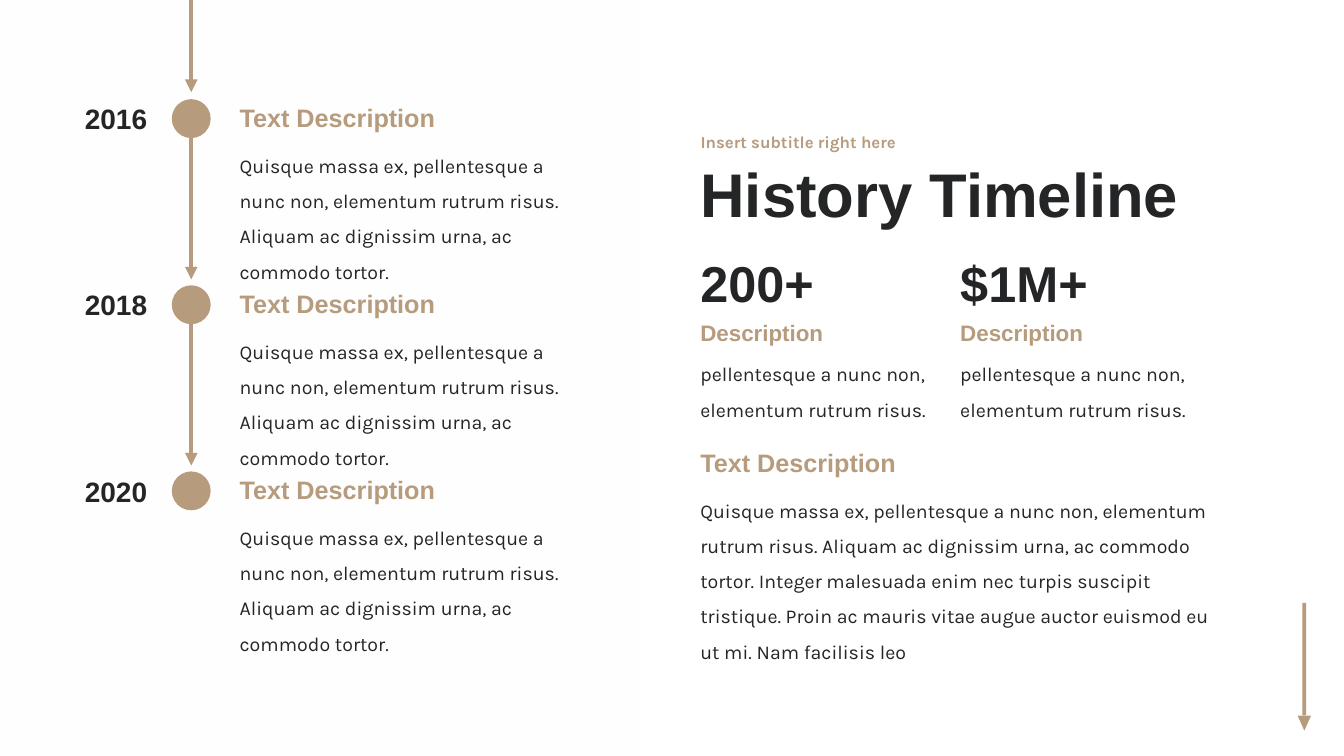
from dataclasses import dataclass

from lxml import etree
from pptx import Presentation
from pptx import util as u
from pptx.dml.color import RGBColor
from pptx.enum import shapes, text
from pptx.oxml.ns import qn

TAN, DARK, WHITE = "B69B7D", "242527", "FFFFFF"
AXIS, RIGHT = 4.82, 17.4
STEP, GAP = 4.69, 6.55
INTRO = (
    "Quisque massa ex, pellentesque a nunc non, elementum rutrum risus. "
    "Aliquam ac dignissim urna, ac commodo tortor."
)
MORE = (
    " Integer malesuada enim nec turpis suscipit tristique. "
    "Proin ac mauris vitae augue auctor euismod eu ut mi. Nam facilisis leo"
)
BRIEF = "pellentesque a nunc non, elementum rutrum risus."


@dataclass(frozen=True)
class Style:
    size: int
    font: str
    color: str
    bold: bool = True
    space: float = 1.0
    align: text.PP_ALIGN = text.PP_ALIGN.LEFT


@dataclass(frozen=True)
class Box:
    left: float
    top: float
    width: float
    height: float

    def cm(self) -> tuple:
        return u.Cm(self.left), u.Cm(self.top), u.Cm(self.width), u.Cm(self.height)


@dataclass(frozen=True)
class Stat:
    figure: str
    width: float


TITLE = Style(44, "Arial", DARK, space=0.9)
SUB = Style(12, "Karla", TAN, space=0.9)
YEAR = Style(20, "Arial", DARK, align=text.PP_ALIGN.RIGHT)
HEAD = Style(18, "Arial", TAN)
BODY = Style(14, "Karla", DARK, bold=False, space=1.5)
FIGURE = Style(36, "Arial", DARK)
LABEL = Style(16, "Arial", TAN)
YEARS = ["2016", "2018", "2020"]
STATS = [Stat("200+", 4.52), Stat("$1M+", 5.11)]


def rgb(code: str) -> RGBColor:
    return RGBColor.from_string(code)


def write(frame, words: str, style: Style) -> None:
    frame.text = words
    frame.word_wrap = True
    para = frame.paragraphs[0]
    para.alignment = style.align
    para.line_spacing = style.space
    para.space_before = u.Pt(0)
    font = para.runs[0].font
    font.size = u.Pt(style.size)
    font.name = style.font
    font.bold = style.bold
    font.color.rgb = rgb(style.color)


def label(slide, box: Box, words: str, style: Style) -> None:
    frame = slide.shapes.add_textbox(*box.cm()).text_frame
    write(frame, words, style)
    frame.auto_size = text.MSO_AUTO_SIZE.SHAPE_TO_FIT_TEXT


def holder(shape, box: Box, words: str, style: Style) -> None:
    shape.left, shape.top, shape.width, shape.height = box.cm()
    frame = shape.text_frame
    write(frame, words, style)
    frame.auto_size = text.MSO_AUTO_SIZE.NONE
    frame.vertical_anchor = text.MSO_ANCHOR.MIDDLE


def solid(slide, kind: shapes.MSO_SHAPE, box: Box, color: str = TAN):
    shape = slide.shapes.add_shape(kind, *box.cm())
    shape.shadow.inherit = False
    shape.fill.solid()
    shape.fill.fore_color.rgb = rgb(color)
    shape.line.fill.background()
    return shape


def arrow(slide, top: float, end: float) -> None:
    line = slide.shapes.add_connector(
        shapes.MSO_CONNECTOR.STRAIGHT, u.Cm(AXIS), u.Cm(top), u.Cm(AXIS), u.Cm(end)
    )
    line.line.color.rgb = rgb(TAN)
    line.line.width = u.Pt(3)
    etree.SubElement(line.line._get_or_add_ln(), qn("a:tailEnd"), type="triangle")
    etree.SubElement(line._element.spPr, qn("a:effectLst"))


def panel(slide) -> None:
    shape = solid(slide, shapes.MSO_SHAPE.RECTANGLE, Box(0.03, 0, 16.05, 19.05), WHITE)
    shape.fill.gradient()
    shape.fill.gradient_angle = 270
    for stop in shape.fill.gradient_stops:
        stop.color.rgb = rgb(WHITE)
    last = list(shape._element.spPr.iter(qn("a:srgbClr")))[-1]
    etree.SubElement(last, qn("a:alpha"), val="80000")


def event(slide, year: str, drop: float) -> None:
    solid(slide, shapes.MSO_SHAPE.OVAL, Box(AXIS - 0.49, 2.5 + drop, 0.98, 0.98))
    label(slide, Box(1.45, 2.44 + drop, 2.51, 1.12), year, YEAR)
    label(slide, Box(5.79, 3.45 + drop, 8.81, 2.84), INTRO, BODY)
    label(slide, Box(5.79, 2.46 + drop, 7.42, 1.02), "Text Description", HEAD)


def fact(slide, stat: Stat, left: float) -> None:
    label(slide, Box(left, 8.71, 6.43, 1.96), BRIEF, BODY)
    label(slide, Box(left, 7.92, 5.08, 0.94), "Description", LABEL)
    label(slide, Box(left, 6.22, stat.width, 1.8), stat.figure, FIGURE)


def main() -> None:
    deck = Presentation()
    deck.slide_width, deck.slide_height = u.Cm(33.87), u.Cm(19.05)
    slide = deck.slides.add_slide(deck.slide_layouts[0])

    solid(slide, shapes.MSO_SHAPE.RECTANGLE, Box(32.82, 15.19, 0.1, 2.84))
    tip = solid(slide, shapes.MSO_SHAPE.ISOSCELES_TRIANGLE, Box(32.7, 18.03, 0.34, 0.38))
    tip.rotation = 180
    panel(slide)

    holder(slide.shapes.title, Box(RIGHT, 3.68, 19.05, 2.62), "History Timeline", TITLE)
    sub = slide.placeholders[1]
    holder(sub, Box(RIGHT, 3.12, 19.05, 0.97), "Insert subtitle right here", SUB)

    arrow(slide, -3.12, 2.32)
    for row, year in enumerate(YEARS):
        event(slide, year, row * STEP)
        if row < len(YEARS) - 1:
            arrow(slide, 3.46 + row * STEP, 7.04 + row * STEP)

    label(slide, Box(RIGHT, 12.14, 13.54, 3.76), INTRO + MORE, BODY)
    label(slide, Box(RIGHT, 11.15, 7.42, 1.02), "Text Description", HEAD)
    for col, stat in enumerate(STATS):
        fact(slide, stat, RIGHT + col * GAP)

    deck.save("out.pptx")


if __name__ == "__main__":
    main()
